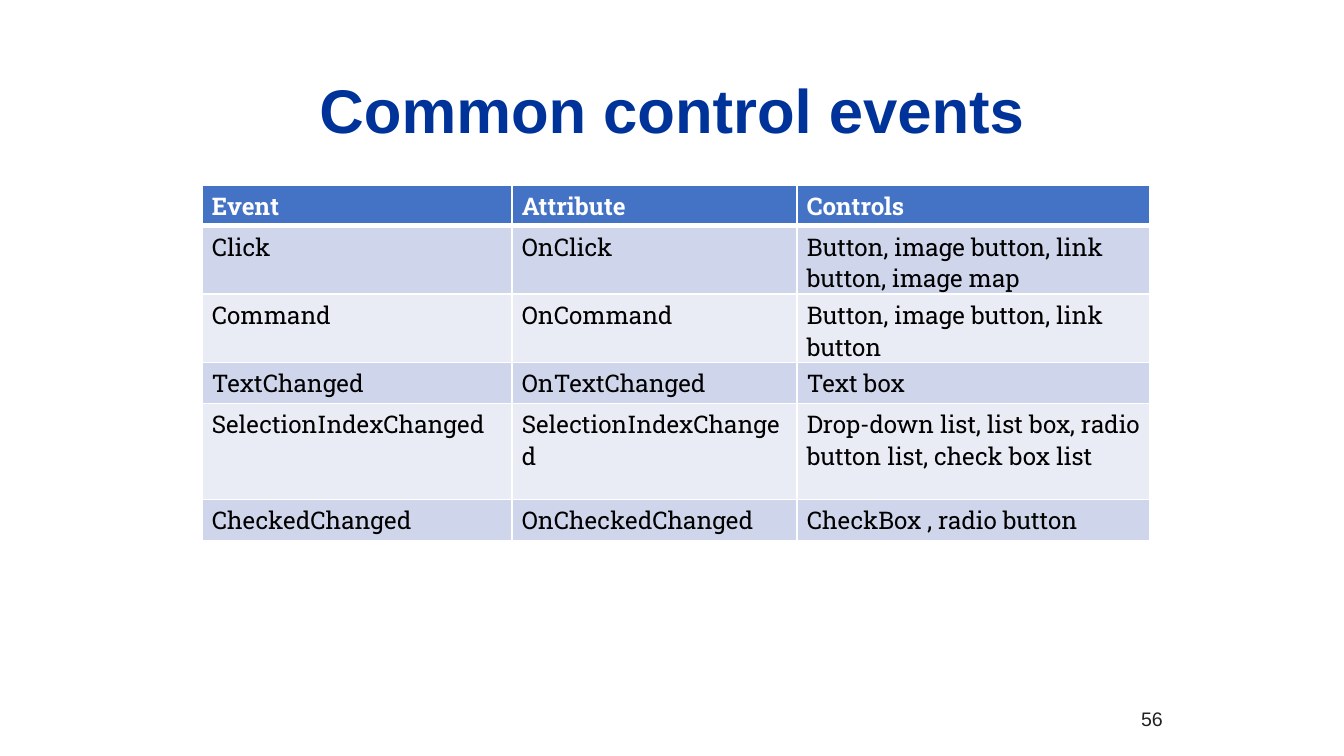
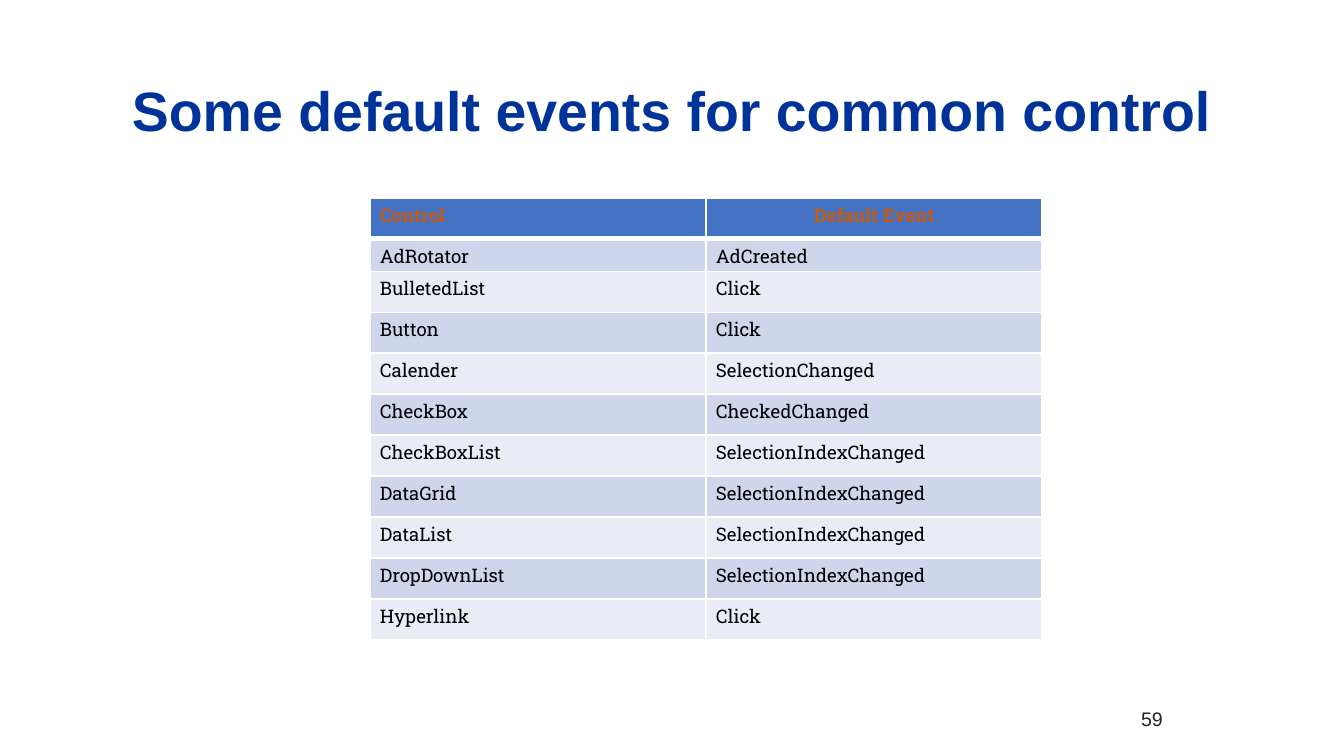
from lxml import etree
from pptx import Presentation
from pptx import util as u
from pptx.dml.color import RGBColor
from pptx.enum import text
from pptx.oxml import ns

SCALE = 914400 / 134.4  # EMU in one px
COLOURS = {
    "title": "003399", "number": "222222", "header": "4472C4",
    "odd": "CFD5EA", "even": "E9EBF5", "border": "FFFFFF",
    "body": "000000", "white": "FFFFFF", "orange": "C55A11",
}
TITLE_FONT, TABLE_FONT = "Arial", "Roboto Slab"
TITLE_BOX = (93, 40, 1158, 147)
NUMBER_BOX = (949, 698, 227, 42)
CELL_INSET_X, CELL_INSET_Y = 10, 5

EVENTS = [
    ("Event", "Attribute", "Controls"),
    ("Click", "OnClick", "Button, image button, link button, image map"),
    ("Command", "OnCommand", "Button, image button, link button"),
    ("TextChanged", "OnTextChanged", "Text box"),
    ("SelectionIndexChanged", "SelectionIndexChanged",
     "Drop-down list, list box, radio button list, check box list"),
    ("CheckedChanged", "OnCheckedChanged", "CheckBox , radio button"),
]
DEFAULT_EVENTS = [
    ("Control", "Default Event"),
    ("AdRotator", "AdCreated"),
    ("BulletedList", "Click"),
    ("Button", "Click"),
    ("Calender", "SelectionChanged"),
    ("CheckBox", "CheckedChanged"),
    ("CheckBoxList", "SelectionIndexChanged"),
    ("DataGrid", "SelectionIndexChanged"),
    ("DataList", "SelectionIndexChanged"),
    ("DropDownList", "SelectionIndexChanged"),
    ("Hyperlink", "Click"),
]


def px(length):
    return u.Emu(round(length * SCALE))


def colour(name):
    return RGBColor.from_string(COLOURS[name])


def format_text(frame, font, size, colour_name, bold=False, align=None):
    for para in frame.paragraphs:
        para.alignment = align
        for span in para.runs:
            span.font.name = font
            span.font.size = u.Pt(size)
            span.font.bold = bold
            span.font.color.rgb = colour(colour_name)


def add_title(page, box, wording, size):
    title = page.shapes.title
    title.left, title.top, title.width, title.height = map(px, box)
    frame = title.text_frame
    frame.text = wording
    frame.word_wrap = True
    frame.auto_size = text.MSO_AUTO_SIZE.NONE
    frame.vertical_anchor = text.MSO_ANCHOR.MIDDLE
    frame.paragraphs[0].line_spacing = 0.9
    format_text(frame, TITLE_FONT, size, "title", True, text.PP_ALIGN.CENTER)


def add_number(page, box, number):
    frame = page.shapes.add_textbox(*map(px, box)).text_frame
    frame.text = str(number)
    frame.word_wrap = True
    frame.vertical_anchor = text.MSO_ANCHOR.MIDDLE
    format_text(frame, TITLE_FONT, 10.5, "number", align=text.PP_ALIGN.RIGHT)


def set_borders(cell, row):
    # The rule under the header is thicker than the other borders
    widths = {"L": 1, "R": 1, "T": 3 if row == 1 else 1, "B": 3 if row == 0 else 1}
    properties = cell._tc.get_or_add_tcPr()
    for side, width in widths.items():
        line = etree.SubElement(properties, ns.qn(f"a:ln{side}"), w=str(u.Pt(width)))
        fill = etree.SubElement(line, ns.qn("a:solidFill"))
        etree.SubElement(fill, ns.qn("a:srgbClr"), val=COLOURS["border"])


def add_event_table(page, origin, rows, widths, heights, size, header_colour):
    left, top = origin
    table = page.shapes.add_table(
        len(rows), len(widths), px(left), px(top), px(sum(widths)), px(sum(heights))
    ).table
    for column, width in zip(table.columns, widths):
        column.width = px(width)
    for index, (values, height) in enumerate(zip(rows, heights)):
        table.rows[index].height = px(height)
        header = index == 0
        band = "header" if header else "odd" if index % 2 else "even"
        for cell, value in zip(table.rows[index].cells, values):
            cell.margin_left = cell.margin_right = px(CELL_INSET_X)
            cell.margin_top = cell.margin_bottom = px(CELL_INSET_Y)
            set_borders(cell, index)
            cell.fill.solid()
            cell.fill.fore_color.rgb = colour(band)
            cell.text_frame.text = value
            format_text(cell.text_frame, TABLE_FONT, size,
                        header_colour if header else "body", header)
    return table


def add_page(deck, wording, title_size, number):
    page = deck.slides.add_slide(deck.slide_layouts.get_by_name("Title Only"))
    add_title(page, TITLE_BOX, wording, title_size)
    add_number(page, NUMBER_BOX, number)
    return page


def main():
    deck = Presentation()
    deck.slide_width, deck.slide_height = px(1344), px(756)

    # Common control events
    page = add_page(deck, "Common control events", 33, 56)
    add_event_table(page, (202, 185), EVENTS, (310, 285, 353),
                    (41, 67, 67, 41, 96, 41), 13, "white")

    # Default events
    page = add_page(deck, "Some default events for common control", 29.7, 59)
    table = add_event_table(page, (370, 198), DEFAULT_EVENTS, (336, 336),
                            [41, 32] + [41] * 9, 10, "orange")
    table.cell(0, 1).text_frame.paragraphs[0].alignment = text.PP_ALIGN.CENTER

    deck.save("out.pptx")


if __name__ == "__main__":
    main()
